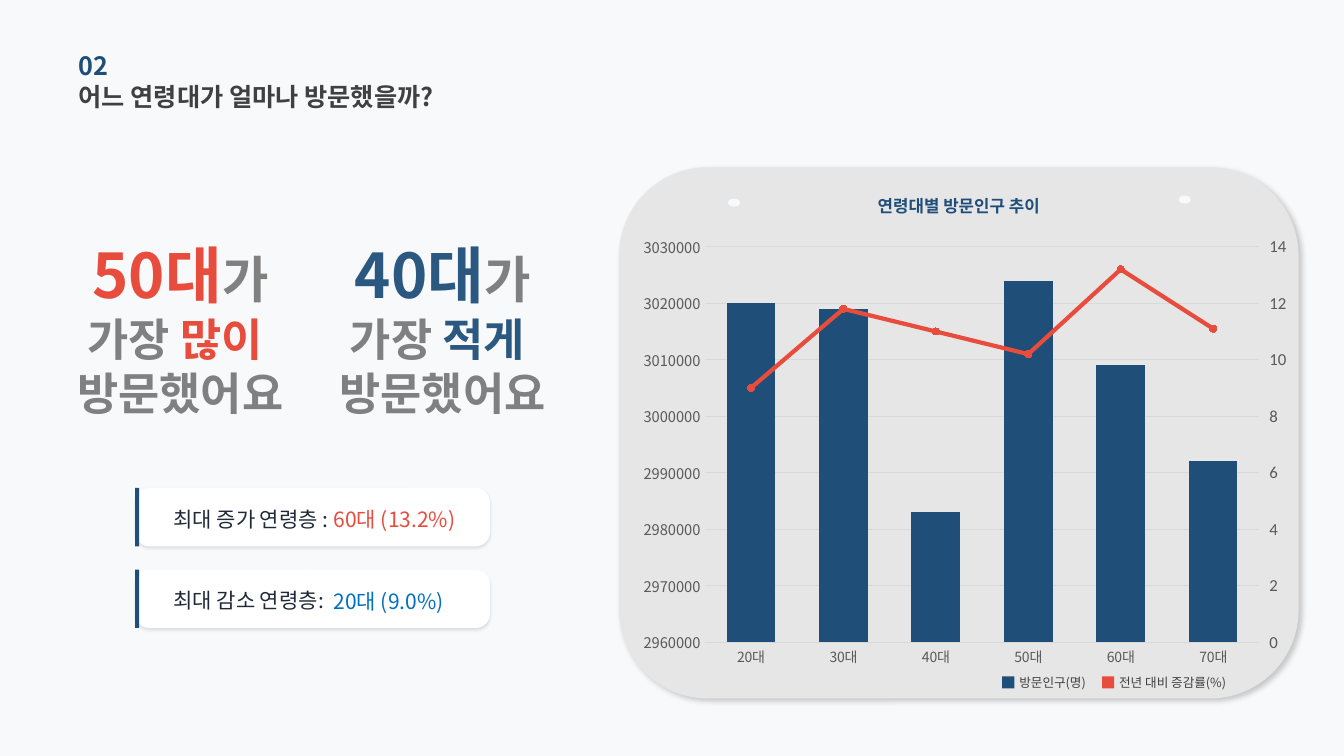
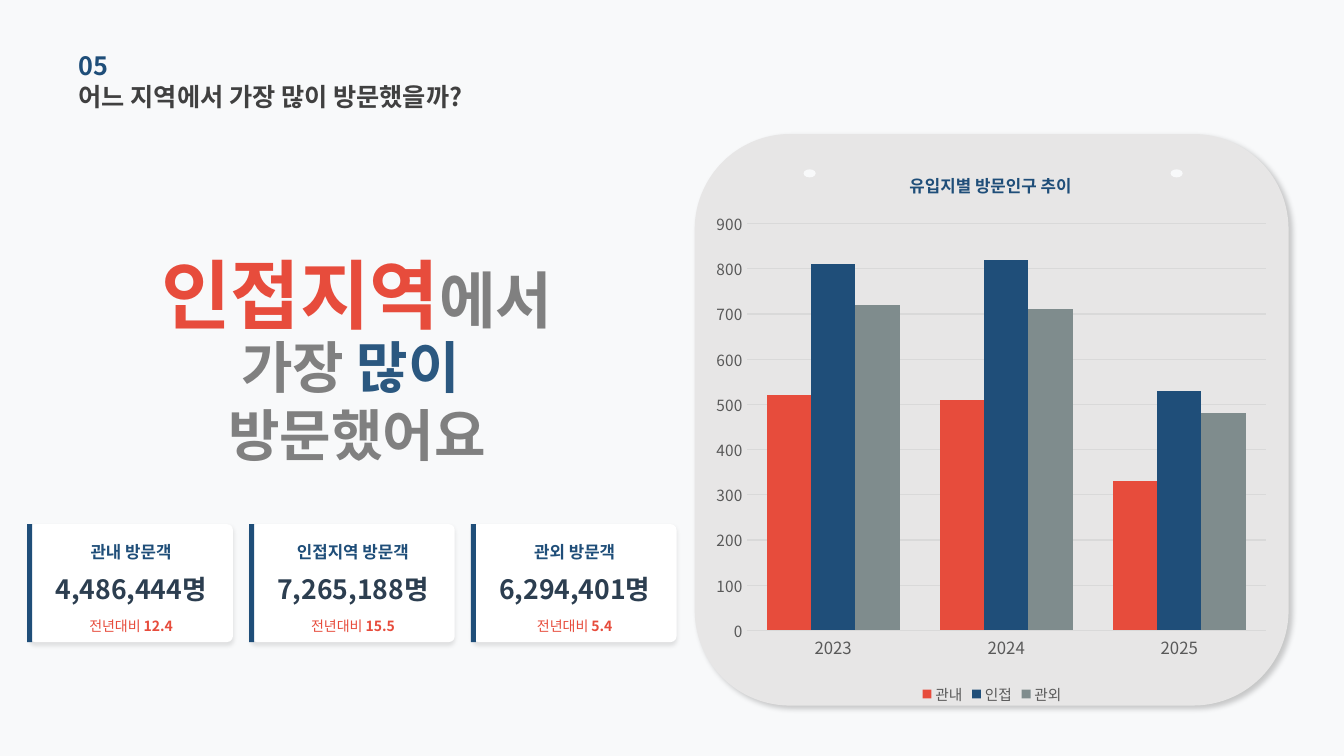
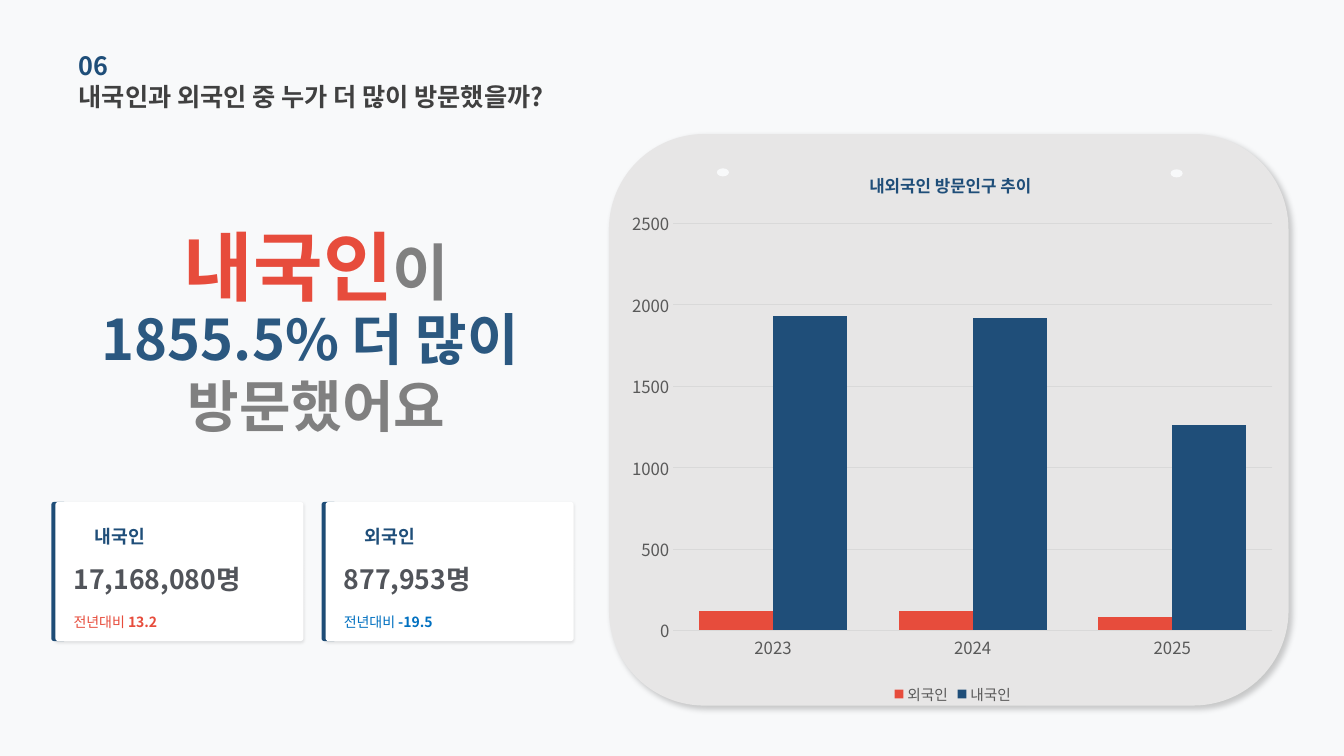
"""Build three slides on visitor numbers by age, region and nationality."""
from pptx import Presentation
from pptx.chart.axis import ValueAxis
from pptx.chart.data import CategoryChartData
from pptx.dml.color import RGBColor
from pptx.enum.chart import XL_CHART_TYPE, XL_LEGEND_POSITION, XL_MARKER_STYLE, XL_TICK_MARK
from pptx.enum.shapes import MSO_SHAPE
from pptx.enum.text import MSO_ANCHOR, MSO_AUTO_SIZE, PP_ALIGN
from pptx.oxml import parse_xml
from pptx.oxml.ns import nsdecls, qn
from pptx.util import Inches, Pt

ROUND, RECT, OVAL = MSO_SHAPE.ROUNDED_RECTANGLE, MSO_SHAPE.RECTANGLE, MSO_SHAPE.OVAL
COLUMN = XL_CHART_TYPE.COLUMN_CLUSTERED
BOTTOM = XL_LEGEND_POSITION.BOTTOM
CIRCLE = XL_MARKER_STYLE.CIRCLE
NO_TICK = XL_TICK_MARK.NONE
LEFT, CENTER = PP_ALIGN.LEFT, PP_ALIGN.CENTER
MIDDLE, NO_FIT = MSO_ANCHOR.MIDDLE, MSO_AUTO_SIZE.NONE

FONT, NUMBER_FONT = "Noto Sans CJK KR", "Calibri"
PAPER, PANEL, WHITE = "F8F9FA", "E7E6E6", "FFFFFF"
NAVY, STEEL, RED, BLUE = "1F4E79", "2B5880", "E74C3C", "0070C0"
GRAY, SLATE, LABEL, GRID, DARK = "808080", "7F8C8D", "595959", "D9D9D9", "404040"
PANEL_SHADOW, CARD_SHADOW = (20, 4, 3, 45), (10, 2, 1, 90)
color = RGBColor.from_string


def add_text(page, box, lines, align=LEFT, leading=None, title=False):
    """Write lines of (text, size, colour, bold) spans into a box."""
    holder = page.shapes.title if title else page.shapes.add_textbox(0, 0, 0, 0)
    holder.left, holder.top, holder.width, holder.height = map(Inches, box)
    frame = holder.text_frame
    frame.word_wrap = True
    frame.auto_size = NO_FIT
    frame.vertical_anchor = MIDDLE
    frame.margin_left = frame.margin_right = frame.margin_top = frame.margin_bottom = 0
    for index, line in enumerate(lines):
        para = frame.add_paragraph() if index else frame.paragraphs[0]
        para.alignment = align
        if leading:
            para.line_spacing = Pt(leading)
        for text, size, shade, bold in line:
            span = para.add_run()
            span.text = text
            span.font.name = FONT
            span.font.size = Pt(size)
            span.font.bold = bold
            span.font.color.rgb = color(shade)


def add_block(page, preset, box, fill, corner=None, shadow=None):
    """Add a filled shape, with a shadow of (opacity, blur, distance, angle)."""
    block = page.shapes.add_shape(preset, *map(Inches, box))
    block.fill.solid()
    block.fill.fore_color.rgb = color(fill)
    block.line.fill.background()
    block.shadow.inherit = False
    if corner is not None:
        block.adjustments[0] = corner
    if shadow:
        opacity, blur, distance, angle = shadow
        block.element.spPr.find(qn("a:effectLst")).append(parse_xml(
            f'<a:outerShdw {nsdecls("a")} blurRad="{Pt(blur)}" dist="{Pt(distance)}" '
            f'dir="{angle * 60000}" algn="ctr" rotWithShape="0"><a:srgbClr val="000000">'
            f'<a:alpha val="{opacity * 1000}"/></a:srgbClr></a:outerShdw>'))


deck = Presentation()
deck.slide_width, deck.slide_height = Inches(13.33), Inches(7.5)
backdrop = deck.slide_master.background.fill
backdrop.solid()
backdrop.fore_color.rgb = color(PAPER)

pages = []
for number, question, panel, pins in [
    ("02", "어느 연령대가 얼마나 방문했을까?", (6.14, 1.66, 6.74, 5.27), [(7.22, 1.97), (11.69, 1.94)]),
    ("05", "어느 지역에서 가장 많이 방문했을까?", (6.89, 1.33, 5.89, 5.67), [(7.97, 1.68), (11.61, 1.68)]),
    ("06", "내국인과 외국인 중 누가 더 많이 방문했을까?", (6.04, 1.33, 6.74, 5.67), [(7.11, 1.67), (11.61, 1.68)]),
]:
    page = deck.slides.add_slide(deck.slide_layouts[5])
    add_text(page, (0.78, 0.75, 5.28, 0.41), [[(question, 18, DARK, True)]], title=True)
    add_text(page, (0.78, 0.44, 4.52, 0.41), [[(number, 18, NAVY, True)]])
    add_block(page, ROUND, panel, PANEL, shadow=PANEL_SHADOW)
    for left, top in pins:
        add_block(page, OVAL, (left, top, 0.12, 0.08), PAPER)
    pages.append(page)
age_page, region_page, nation_page = pages

for column, (age, amount, shade) in enumerate([("50대", "많이 ", RED), ("40대", "적게 ", STEEL)]):
    left = 0.49 + 2.6 * column
    add_text(age_page, (left, 2.48, 2.6, 0.48), [[(age, 44, shade, True), ("가", 36, GRAY, True)]], CENTER)
    add_text(age_page, (left, 3.21, 2.6, 0.84),
             [[("가장 ", 32, GRAY, True), (amount, 32, shade, True)], [("방문했어요", 32, GRAY, True)]],
             CENTER, leading=38.4)

for row, (label, result, shade) in enumerate([
    ("최대 증가 연령층 :", "60대 (13.2%)", RED),
    ("최대 감소 연령층:", "20대 (9.0%)", BLUE),
]):
    top = 4.84 + 0.81 * row
    add_block(age_page, ROUND, (1.34, top, 3.52, 0.58), WHITE, 0.245, CARD_SHADOW)
    add_block(age_page, RECT, (1.34, top, 0.04, 0.58), NAVY)
    add_text(age_page, (1.72, top + 0.2, 1.93, 0.21), [[(label, 15, "1F2937", False)]])
    add_text(age_page, (3.31, top + 0.19, 1.5, 0.24), [[(result, 15, shade, False)]])

for left, width, label, shade in [(9.94, 0.82, "방문인구(명)", NAVY), (10.93, 1.3, "전년 대비 증감률(%)", RED)]:
    add_block(age_page, RECT, (left, 6.71, 0.12, 0.12), shade)
    add_text(age_page, (left + 0.17, 6.68, width, 0.18), [[(label, 9, DARK, False)]])
add_text(age_page, (8.03, 1.89, 2.96, 0.3), [[("연령대별 방문인구 추이", 12, NAVY, True)]], CENTER)

for page, left, top, subject, particle, middle_line in [
    (region_page, 0.78, 2.67, "인접지역", "에서", [("가장 ", 40, GRAY, True), ("많이 ", 40, STEEL, True)]),
    (nation_page, 0.38, 2.39, "내국인", "이", [("1855.5% 더 많이 ", 40, STEEL, True)]),
]:
    add_text(page, (left, top, 5.52, 0.48), [[(subject, 54, RED, True), (particle, 44, GRAY, True)]], CENTER)
    add_text(page, (left, top + 0.88, 5.52, 0.84),
             [middle_line, [("방문했어요", 40, GRAY, True)]], CENTER, leading=48)

for column, (name, visitors, change) in enumerate([
    ("관내 방문객", "4,486,444명", "12.4"),
    ("인접지역 방문객", "7,265,188명", "15.5"),
    ("관외 방문객", "6,294,401명", "5.4"),
]):
    left = 0.29 + 2.2 * column
    add_block(region_page, ROUND, (left, 5.2, 2.02, 1.17), WHITE, 0.05, (10, 3, 2, 90))
    add_block(region_page, RECT, (left - 0.02, 5.2, 0.05, 1.17), NAVY)
    for top, height, line in [
        (5.36, 0.22, [(name, 12, NAVY, True)]),
        (5.67, 0.34, [(visitors, 19, "2C3E50", True)]),
        (6.11, 0.2, [("전년대비 ", 10, RED, False), (change, 10, RED, True)]),
    ]:
        add_text(region_page, (left, top, 2.02, height), [line], CENTER)

for column, (name, visitors, change, shade) in enumerate([
    ("내국인", "17,168,080명", "13.2", RED),
    ("외국인", "877,953명", "-19.5", BLUE),
]):
    left = 0.55 + 2.68 * column
    add_block(nation_page, ROUND, (left - 0.04, 4.98, 0.15, 1.38), NAVY)
    add_block(nation_page, ROUND, (left, 4.98, 2.46, 1.38), WHITE, 0.02, CARD_SHADOW)
    for indent, top, height, line in [
        (0.39, 5.18, 0.28, [(name, 13, NAVY, True)]),
        (0.18, 5.55, 0.39, [(visitors, 19, "51545A", True)]),
        (0.18, 5.94, 0.45, [("전년대비 ", 10, shade, False), (change, 10, shade, True)]),
    ]:
        add_text(nation_page, (left + indent, top, 2.2, height), [line])

years = ["2023", "2024", "2025"]
charts = []
for page, box, title, title_left, plot_box, categories, series, gap, overlap, scale, sizes in [
    (age_page, (6.26, 2.27, 6.63, 4.46), None, None, (0.11, 0.04, 0.83, 0.88),
     ["20대", "30대", "40대", "50대", "60대", "70대"],
     [("방문인구(명)", [3020000, 3019000, 2983000, 3024000, 3009000, 2992000], NAVY),
      ("전년 대비 증감률(%)", [9, 11.8, 11, 10.2, 13.2, 11.1], RED)],
     90, -27, (2960000, 3030000, 10000), (10, 10.5)),
    (region_page, (7.01, 1.5, 5.66, 5.53), "유입지별 방문인구 추이", 0.35, (0.07, 0.13, 0.91, 0.73), years,
     [("관내", [520, 510, 330], RED), ("인접", [810, 820, 530], NAVY), ("관외", [720, 710, 480], SLATE)],
     90, 0, (0, 900, 100), (12, 11)),
    (nation_page, (6.15, 1.5, 6.6, 5.53), "내외국인 방문인구 추이", 0.37, (0.08, 0.13, 0.9, 0.73), years,
     [("외국인", [120, 120, 80], RED), ("내국인", [1930, 1920, 1260], NAVY)],
     70, 0, (0, 2500, 500), (12, 12)),
]:
    data = CategoryChartData()
    data.categories = categories
    for name, values, shade in series:
        data.add_series(name, values)
    chart = page.shapes.add_chart(COLUMN, *map(Inches, box), data).chart
    charts.append(chart)
    chart.font.name, chart.font.size = NUMBER_FONT, Pt(10)
    plot = chart.plots[0]
    plot.vary_by_categories = False
    plot.gap_width, plot.overlap = gap, overlap
    for bars, (name, values, shade) in zip(plot.series, series):
        bars.format.fill.solid()
        bars.format.fill.fore_color.rgb = color(shade)
    value_axis = chart.value_axis
    value_axis.minimum_scale, value_axis.maximum_scale, value_axis.major_unit = scale
    value_axis.format.line.fill.background()
    for line in (chart.category_axis.format.line, value_axis.major_gridlines.format.line):
        line.color.rgb = color(GRID)
        line.width = Pt(0.75)
    for axis, size in zip((chart.category_axis, value_axis), sizes):
        axis.major_tick_mark = axis.minor_tick_mark = NO_TICK
        labels = axis.tick_labels.font
        labels.name, labels.size, labels.color.rgb = FONT, Pt(size), color(LABEL)

    layouts = [(chart.element.chart.plotArea, 0, "<c:layoutTarget val='inner'/>", zip("xywh", plot_box))]
    chart.has_title = chart.has_legend = title is not None
    if title:
        chart.chart_title.text_frame.text = title
        heading = chart.chart_title.text_frame.paragraphs[0].runs[0].font
        heading.name, heading.size, heading.bold, heading.color.rgb = FONT, Pt(12), True, color(NAVY)
        layouts.append((chart.element.chart.find(qn("c:title")), 1, "", zip("xy", (title_left, 0.03))))
        legend = chart.legend
        legend.position, legend.include_in_layout = BOTTOM, False
        legend.font.name, legend.font.size, legend.font.color.rgb = FONT, Pt(10.5), color(LABEL)
    for parent, index, target, places in layouts:
        for old in parent.findall(qn("c:layout")):
            parent.remove(old)
        places = list(places)
        modes = "".join(f'<c:{key}Mode val="edge"/>' for key, place in places if key in "xy")
        values = "".join(f'<c:{key} val="{place}"/>' for key, place in places)
        parent.insert(index, parse_xml(
            f'<c:layout {nsdecls("c")}><c:manualLayout>{target}{modes}{values}</c:manualLayout></c:layout>'))

age_chart = charts[0]
plot_area = age_chart.element.chart.plotArea
bar_plot = plot_area.find(qn("c:barChart"))
rate_series = bar_plot.findall(qn("c:ser"))[1]
for tag in ("c:invertIfNegative", "c:spPr"):
    for old in rate_series.findall(qn(tag)):
        rate_series.remove(old)
line_plot = parse_xml(
    f'<c:lineChart {nsdecls("c")}><c:grouping val="standard"/><c:varyColors val="0"/>'
    '<c:marker val="1"/><c:axId val="5001"/><c:axId val="5002"/></c:lineChart>')
line_plot.insert(2, rate_series)
bar_plot.addnext(line_plot)
rate_axis = parse_xml(
    f'<c:valAx {nsdecls("c")}><c:axId val="5002"/><c:scaling><c:orientation val="minMax"/></c:scaling>'
    '<c:delete val="0"/><c:axPos val="r"/><c:numFmt formatCode="General" sourceLinked="0"/>'
    '<c:majorTickMark val="out"/><c:minorTickMark val="none"/><c:tickLblPos val="nextTo"/>'
    '<c:crossAx val="5001"/><c:crosses val="max"/></c:valAx>')
hidden_axis = parse_xml(
    f'<c:catAx {nsdecls("c")}><c:axId val="5001"/><c:scaling><c:orientation val="minMax"/></c:scaling>'
    '<c:delete val="1"/><c:axPos val="b"/><c:crossAx val="5002"/><c:crosses val="autoZero"/></c:catAx>')
plot_area.findall(qn("c:valAx"))[0].addnext(rate_axis)
rate_axis.addnext(hidden_axis)

right_axis = ValueAxis(rate_axis)
right_axis.minimum_scale, right_axis.maximum_scale, right_axis.major_unit = 0, 14, 2
right_axis.format.line.fill.background()
labels = right_axis.tick_labels.font
labels.name, labels.size, labels.color.rgb = NUMBER_FONT, Pt(12), color(LABEL)
rates = age_chart.plots[1].series[0]
rates.smooth = False
rates.format.line.color.rgb = color(RED)
rates.format.line.width = Pt(3)
rates.marker.style, rates.marker.size = CIRCLE, 5
rates.marker.format.fill.solid()
rates.marker.format.fill.fore_color.rgb = color(RED)
rates.marker.format.line.color.rgb = color(RED)

for part in pages + charts:
    for latin in list(part.element.iter(qn("a:latin"))):
        latin.addnext(latin.makeelement(qn("a:ea"), {"typeface": FONT}))

deck.save("out.pptx")
